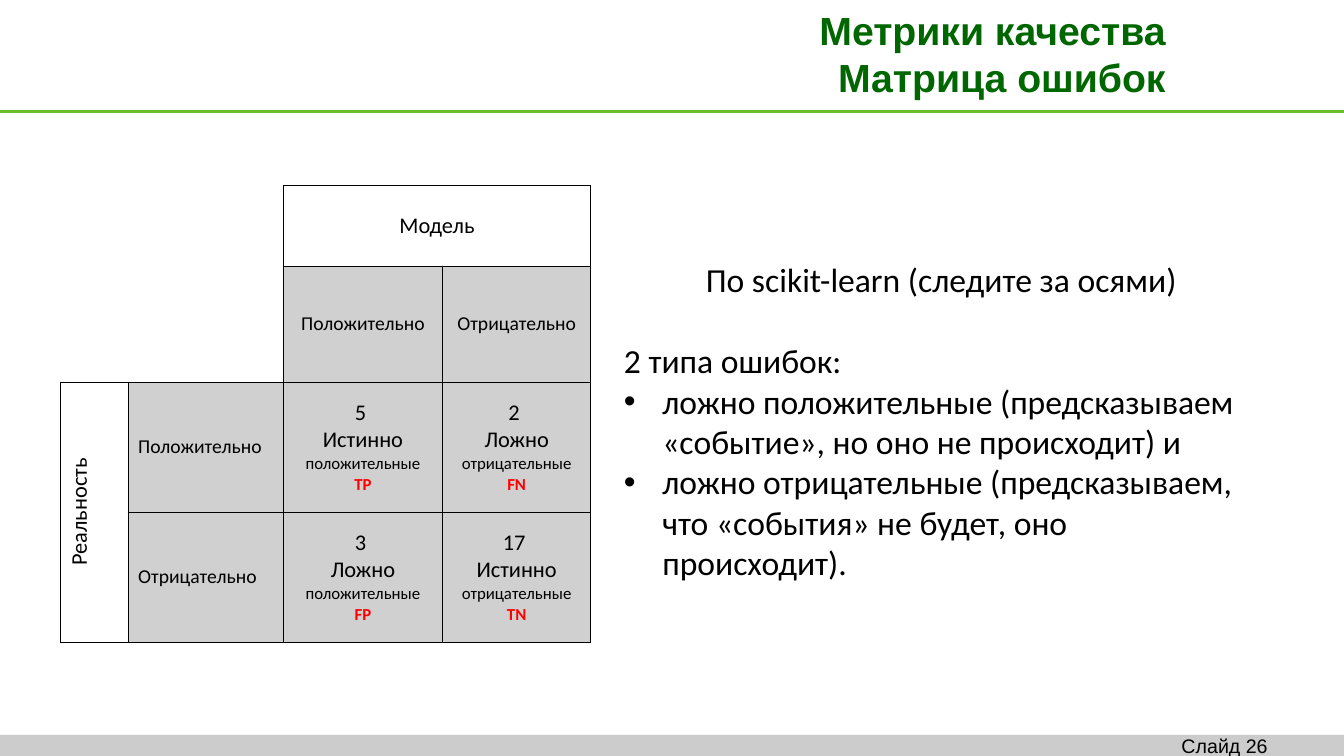
from dataclasses import dataclass

from lxml import etree
from pptx import Presentation
from pptx.dml.color import RGBColor
from pptx.enum.shapes import MSO_CONNECTOR, MSO_SHAPE
from pptx.enum.text import MSO_ANCHOR, MSO_AUTO_SIZE, PP_ALIGN
from pptx.oxml.ns import qn
from pptx.util import Inches, Pt

LEFT, CENTER, RIGHT = PP_ALIGN.LEFT, PP_ALIGN.CENTER, PP_ALIGN.RIGHT
TOP, MIDDLE = MSO_ANCHOR.TOP, MSO_ANCHOR.MIDDLE
GROW = MSO_AUTO_SIZE.SHAPE_TO_FIT_TEXT
STRAIGHT, RECTANGLE = MSO_CONNECTOR.STRAIGHT, MSO_SHAPE.RECTANGLE

BLACK = RGBColor(0x00, 0x00, 0x00)
WHITE = RGBColor(0xFF, 0xFF, 0xFF)
RED = RGBColor(0xFF, 0x00, 0x00)
TITLE_GREEN = RGBColor(0x00, 0x66, 0x00)
RULE_GREEN = RGBColor(0x69, 0xBE, 0x28)
FOOTER_GRAY = RGBColor(0xCC, 0xCC, 0xCC)
CELL_GRAY = RGBColor(0xD0, 0xD0, 0xD0)

SLIDE_WIDTH, SLIDE_HEIGHT = Inches(13.33), Inches(7.5)
BULLET_INDENT = Inches(0.38)
BORDER_WIDTH = Pt(0.75)


@dataclass
class Area:
    """A rectangle in percent of the slide's width and height."""
    left: float
    top: float
    width: float
    height: float

    def lengths(self) -> tuple[int, int, int, int]:
        return (across(self.left), down(self.top),
                across(self.width), down(self.height))


@dataclass
class TextRun:
    text: str
    size: float
    color: RGBColor = BLACK
    bold: bool = False
    name: str = "Calibri"


@dataclass
class TextLine:
    runs: list[TextRun]
    alignment: PP_ALIGN = LEFT
    space_before: float = 0
    bullet: bool = False


@dataclass
class MatrixCell:
    row: int
    column: int
    lines: list[TextLine]
    fill: RGBColor = CELL_GRAY
    edges: str = "LRTB"


def across(percent: float) -> int:
    return round(SLIDE_WIDTH * percent / 100)


def down(percent: float) -> int:
    return round(SLIDE_HEIGHT * percent / 100)


def write_lines(frame, lines: list[TextLine]) -> None:
    for index, line in enumerate(lines):
        paragraph = frame.add_paragraph() if index else frame.paragraphs[0]
        paragraph.alignment = line.alignment
        paragraph.space_before = Pt(line.space_before)
        if line.bullet:
            properties = paragraph._p.get_or_add_pPr()
            properties.set("marL", str(BULLET_INDENT))
            properties.set("indent", str(-BULLET_INDENT))
            etree.SubElement(properties, qn("a:buFont"), typeface="Arial")
            etree.SubElement(properties, qn("a:buChar"), char="•")
        for item in line.runs:
            run = paragraph.add_run()
            run.text = item.text
            font_format = {"name": item.name, "size": Pt(item.size), "bold": item.bold}
            for attribute, value in font_format.items():
                setattr(run.font, attribute, value)
            run.font.color.rgb = item.color


def add_text(slide, area: Area, lines: list[TextLine], **frame_format) -> None:
    frame = slide.shapes.add_textbox(*area.lengths()).text_frame
    for attribute, value in ({"word_wrap": True} | frame_format).items():
        setattr(frame, attribute, value)
    write_lines(frame, lines)


def set_borders(cell, edges: str) -> None:
    properties = cell._tc.get_or_add_tcPr()
    for edge in "LRTB":
        line = etree.SubElement(properties, qn(f"a:ln{edge}"), w=str(BORDER_WIDTH))
        if edge in edges:
            fill = etree.SubElement(line, qn("a:solidFill"))
            etree.SubElement(fill, qn("a:srgbClr"), val=str(BLACK))
        else:
            etree.SubElement(line, qn("a:noFill"))


def label(text: str, size: float, alignment: PP_ALIGN = CENTER) -> list[TextLine]:
    return [TextLine([TextRun(text, size)], alignment)]


def outcome(count: str, verdict: str, kind: str, code: str) -> list[TextLine]:
    rows = [
        [TextRun(count + " ", 16)],
        [TextRun(verdict + " ", 16), TextRun(kind, 12)],
        [TextRun(code, 12, RED, True)],
    ]
    return [TextLine(runs, CENTER) for runs in rows]


def body(text: str, **line_format) -> TextLine:
    return TextLine([TextRun(text, 24)], **line_format)


POSITIVE, NEGATIVE = "Положительно", "Отрицательно"
COLUMN_SHARES = [5.03, 11.55, 11.85, 11.03]
ROW_SHARES = [10.67, 15.33, 17.2, 17.2]
MATRIX_AREA = Area(4.5, 24.53, sum(COLUMN_SHARES), sum(ROW_SHARES))
MATRIX = [
    MatrixCell(0, 0, [], WHITE, ""),
    MatrixCell(0, 1, [], WHITE, "R"),
    MatrixCell(0, 2, label("Модель", 16), WHITE),
    MatrixCell(0, 3, [], WHITE),
    MatrixCell(1, 0, [], WHITE, "B"),
    MatrixCell(1, 1, [], WHITE, "RB"),
    MatrixCell(1, 2, label(POSITIVE, 14)),
    MatrixCell(1, 3, label(NEGATIVE, 14)),
    MatrixCell(2, 0, label("Реальность", 16), WHITE),
    MatrixCell(2, 1, label(POSITIVE, 14, LEFT)),
    MatrixCell(2, 2, outcome("5", "Истинно", "положительные", "TP")),
    MatrixCell(2, 3, outcome("2", "Ложно", "отрицательные", "FN")),
    MatrixCell(3, 0, [], WHITE),
    MatrixCell(3, 1, label(NEGATIVE, 14, LEFT)),
    MatrixCell(3, 2, outcome("3", "Ложно", "положительные", "FP")),
    MatrixCell(3, 3, outcome("17", "Истинно", "отрицательные", "TN")),
]
TITLE = [
    TextLine([TextRun(text, 28, TITLE_GREEN, True, "Arial")], RIGHT)
    for text in ("Метрики качества", "Матрица ошибок")
]
EXPLANATION = [
    body("По scikit-learn (следите за осями)", alignment=CENTER),
    body("2 типа ошибок:", space_before=29.3),
    body("ложно положительные (предсказываем «событие», но оно не происходит) и",
         bullet=True),
    body("ложно отрицательные (предсказываем, что «события» не будет, оно происходит).",
         bullet=True),
]


def add_matrix(slide) -> None:
    table = slide.shapes.add_table(
        len(ROW_SHARES), len(COLUMN_SHARES), *MATRIX_AREA.lengths()).table
    table.first_row = table.horz_banding = False
    for column, share in zip(table.columns, COLUMN_SHARES):
        column.width = across(share)
    for row, share in zip(table.rows, ROW_SHARES):
        row.height = down(share)
    for item in MATRIX:
        cell = table.cell(item.row, item.column)
        set_borders(cell, item.edges)
        cell.fill.solid()
        cell.fill.fore_color.rgb = item.fill
        cell.vertical_anchor = MIDDLE
        write_lines(cell.text_frame, item.lines)
    # Axis headings span two cells each
    table.cell(0, 2).merge(table.cell(0, 3))
    table.cell(2, 0).merge(table.cell(3, 0))
    table.cell(2, 0)._tc.get_or_add_tcPr().set("vert", "vert270")


def main() -> None:
    presentation = Presentation()
    presentation.slide_width, presentation.slide_height = SLIDE_WIDTH, SLIDE_HEIGHT
    slide = presentation.slides.add_slide(presentation.slide_layouts[6])

    # Header rule
    rule = slide.shapes.add_connector(STRAIGHT, 0, down(14.8), SLIDE_WIDTH, down(14.8))
    rule.line.color.rgb = RULE_GREEN
    rule.line.width = Pt(2)
    etree.SubElement(rule._element.spPr, qn("a:effectLst"))

    # Footer bar and slide number
    footer = slide.shapes.add_shape(RECTANGLE, *Area(0, 97.2, 100.15, 2.8).lengths())
    footer.shadow.inherit = False
    footer.fill.solid()
    footer.fill.fore_color.rgb = FOOTER_GRAY
    footer.line.fill.background()
    number = TextLine([TextRun("Слайд 26", 14, name="Arial")])
    add_text(slide, Area(87.17, 96.4, 13.13, 2.8), [number], vertical_anchor=TOP)

    # Title, explanation and confusion matrix
    add_text(slide, Area(12.6, 0, 74.87, 14.13), TITLE, vertical_anchor=MIDDLE)
    add_text(slide, Area(45.69, 33.6, 48.69, 44.4), EXPLANATION, auto_size=GROW)
    add_matrix(slide)
    presentation.save("out.pptx")


if __name__ == "__main__":
    main()
